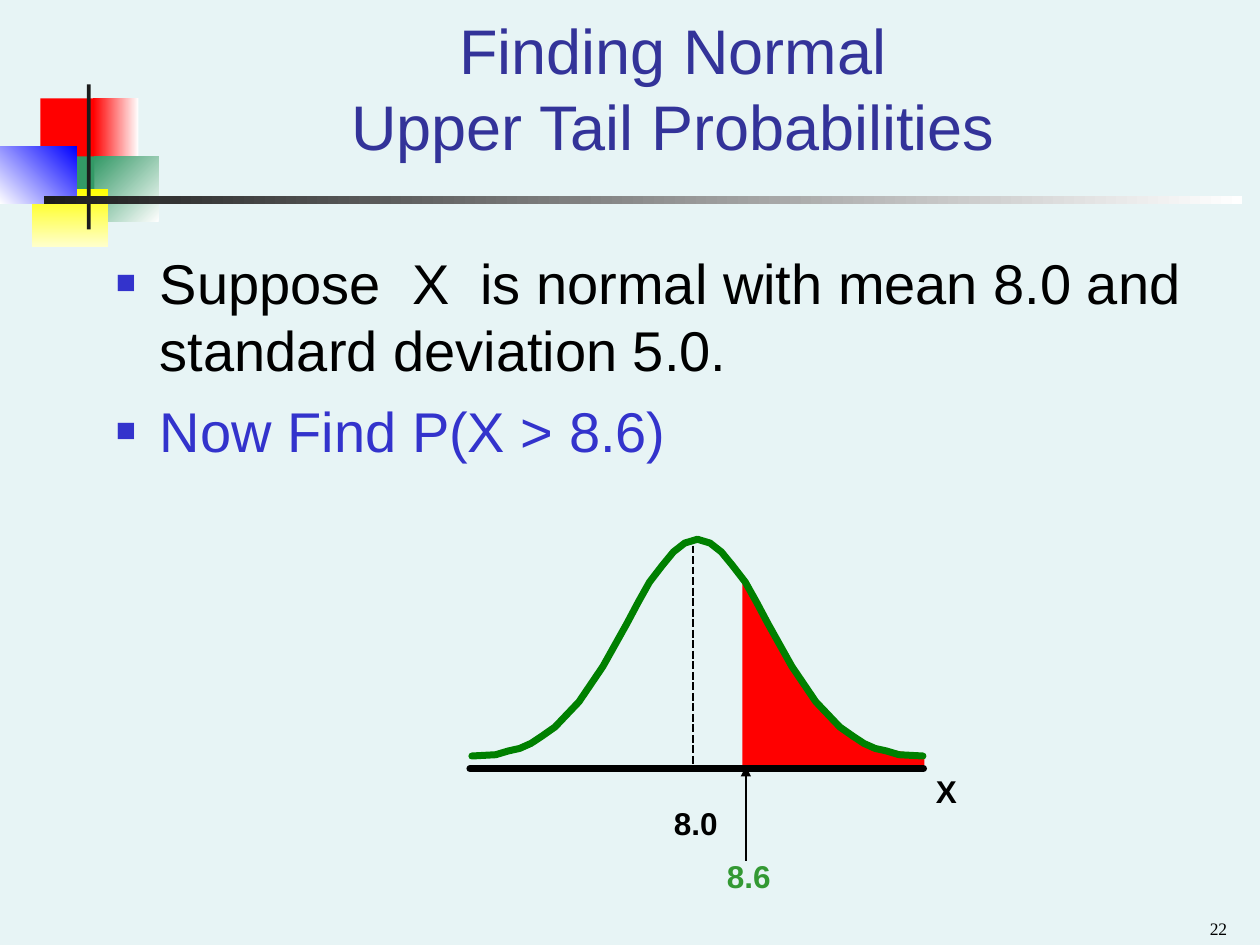
from dataclasses import dataclass

from lxml import etree
from pptx import Presentation
from pptx import util as u
from pptx.dml.color import RGBColor
from pptx.enum import dml, shapes, text
from pptx.oxml import ns


@dataclass(frozen=True)
class Theme:
    background: str = "E7F4F5"
    title: str = "333399"
    accent: str = "3333CC"
    black: str = "000000"
    dark: str = "1C1C1C"
    white: str = "FFFFFF"
    red: str = "FF0000"
    green: str = "339966"
    yellow: str = "FFFF00"
    cream: str = "FFFFCC"
    blue: str = "0000FF"
    curve: str = "008000"
    value: str = "339933"
    sans: str = "Arial"
    serif: str = "Times New Roman"
    title_size: int = 36
    body_size: int = 32
    label_size: int = 18
    number_size: int = 10


THEME = Theme()


def rgb(value):
    return RGBColor.from_string(value)


def add_element(parent, tag, **attributes):
    element = etree.SubElement(parent, ns.qn(tag))
    for name, value in attributes.items():
        element.set(name, value)
    return element


def format_font(font, color, size, name=THEME.sans, bold=False):
    for key, value in {"size": u.Pt(size), "name": name, "bold": bold}.items():
        setattr(font, key, value)
    font.color.rgb = rgb(color)


def add_text(slide, box, paragraphs, size, name=THEME.sans, bold=False, bullet=False,
             align=text.PP_ALIGN.LEFT, anchor=text.MSO_ANCHOR.TOP, wrap=True, inset=0.09):
    frame = slide.shapes.add_textbox(*map(u.Inches, box)).text_frame
    settings = {
        "word_wrap": wrap, "vertical_anchor": anchor,
        "margin_left": u.Inches(inset), "margin_right": u.Inches(inset),
        "margin_top": u.Inches(0.05), "margin_bottom": u.Inches(0.05),
    }
    for key, value in settings.items():
        setattr(frame, key, value)
    for index, (words, color) in enumerate(paragraphs):
        paragraph = frame.add_paragraph() if index else frame.paragraphs[0]
        paragraph.text = words
        paragraph.alignment = align
        if index:
            paragraph.space_before = u.Pt(8)
        if bullet:
            add_bullet(paragraph)
        for run in paragraph.runs:
            format_font(run.font, color, size, name, bold)


def add_bullet(paragraph):
    properties = paragraph._p.get_or_add_pPr()
    properties.set("marL", str(u.Inches(0.35)))
    properties.set("indent", str(u.Inches(-0.35)))
    add_element(add_element(properties, "a:buClr"), "a:srgbClr", val=THEME.accent)
    add_element(properties, "a:buSzPct", val="60000")
    add_element(properties, "a:buFont", typeface=THEME.sans)
    add_element(properties, "a:buChar", char="■")


def add_block(slide, box, first, last=None, angle=0):
    shape = slide.shapes.add_shape(shapes.MSO_SHAPE.RECTANGLE, *map(u.Inches, box))
    shape.shadow.inherit = False
    shape.line.fill.background()
    if last is None:
        shape.fill.solid()
        shape.fill.fore_color.rgb = rgb(first)
        return
    shape.fill.gradient()
    shape.fill.gradient_angle = angle
    for stop, color, position in zip(shape.fill.gradient_stops, (first, last), (0, 1)):
        stop.color.rgb = rgb(color)
        stop.position = position


def add_outline(slide, points, color, width, fill=None):
    vertices = [(u.Inches(x), u.Inches(y)) for x, y in points]
    builder = slide.shapes.build_freeform(*vertices[0], scale=1.0)
    builder.add_line_segments(vertices[1:], close=fill is not None)
    shape = builder.convert_to_shape()
    shape.shadow.inherit = False
    if fill:
        shape.fill.solid()
        shape.fill.fore_color.rgb = rgb(fill)
    else:
        shape.fill.background()
    shape.line.color.rgb = rgb(color)
    shape.line.width = u.Pt(width)
    line = shape.line._get_or_add_ln()
    line.set("cap", "rnd")
    add_element(line, "a:round")


def add_line(slide, start, end, width, dash=None, arrow=False):
    line = slide.shapes.add_connector(
        shapes.MSO_CONNECTOR.STRAIGHT, *map(u.Inches, (*start, *end)))
    line.line.color.rgb = rgb(THEME.black)
    line.line.width = u.Pt(width)
    if dash:
        line.line.dash_style = dash
    if arrow:
        add_element(line.line._get_or_add_ln(), "a:tailEnd", type="triangle")
    add_element(line._element.spPr, "a:effectLst")


def draw_ornament(slide, box):
    left, top, width, height = box
    blocks = [
        ((0.32, 0.11, 0.48, 0.52), THEME.red),
        ((0.74, 0.11, 0.36, 0.52), THEME.white, THEME.red, 180),
        ((0.75, 0.57, 0.51, 0.52), THEME.white, THEME.green, 135),
        ((0.43, 0.57, 0.32, 0.52), THEME.green),
        ((0.25, 0.83, 0.61, 0.46), THEME.yellow, THEME.cream, 270),
        ((0, 0.49, 0.61, 0.46), THEME.blue, THEME.white, 225),
        ((0.69, 0, 0.03, 1.15), THEME.dark),
        ((0.35, 0.89, width - 0.35, 0.06), THEME.white, THEME.dark, 180),
    ]
    for (x, y, block_width, block_height), *colors in blocks:
        add_block(slide, (left + x, top + y, block_width, block_height), *colors)


def draw_heading(slide, box):
    add_text(slide, box, [("Finding Normal\vUpper Tail Probabilities", THEME.title)],
             THEME.title_size, align=text.PP_ALIGN.CENTER, anchor=text.MSO_ANCHOR.BOTTOM)


def draw_body(slide, box):
    add_text(slide, box, [
        ("Suppose  X  is normal with mean 8.0 and standard deviation 5.0.", THEME.black),
        ("Now Find P(X > 8.6)", THEME.accent),
    ], THEME.body_size, bullet=True)


def draw_normal_curve(slide, box):
    left, top, width, height = box
    center, base, right = left + width / 2, top + height, left + width
    tail = [(0, 0), (0.04, 0.12), (0.14, 0.27), (0.2, 0.41), (0.27, 0.51), (0.34, 0.66),
            (0.47, 0.86), (0.58, 1.01), (0.76, 1.2), (1.05, 1.37), (1.43, 1.43),
            (1.43, 1.53), (0, 1.53)]
    half = [(1.79, 1.72), (1.6, 1.71), (1.5, 1.68), (1.41, 1.66), (1.32, 1.62),
            (1.23, 1.56), (1.13, 1.49), (0.94, 1.29), (0.75, 1.01), (0.56, 0.67),
            (0.47, 0.5), (0.38, 0.34), (0.28, 0.21), (0.19, 0.1), (0.1, 0.03), (0, 0)]
    add_outline(slide, [(left + 2.16 + x, top + 0.29 + y) for x, y in tail],
                THEME.red, 1, THEME.red)
    for side in (1, -1):
        add_outline(slide, [(center + side * x, top + y) for x, y in half], THEME.curve, 4)
    add_outline(slide, [(left - 0.01, base), (right, base)], THEME.black, 4)
    labels = [
        ("X", THEME.black, right, base - 0.02, 0.42),
        ("8.6", THEME.value, left + 1.93, base + 0.65, 0.55),
        ("8.0", THEME.black, left + 1.51, base + 0.23, 0.55),
    ]
    for words, color, x, y, label_width in labels:
        add_text(slide, (x, y, label_width, 0.4), [(words, color)], THEME.label_size,
                 bold=True, wrap=False, inset=0.1)
    add_line(slide, (left + 2.18, base + 0.73), (left + 2.18, base - 0.02), 1, arrow=True)
    add_line(slide, (left + 1.76, top + 0.05), (left + 1.76, base - 0.02), 1.5,
             dash=dml.MSO_LINE.SQUARE_DOT)


def draw_page_number(slide, box):
    add_text(slide, box, [("22", THEME.black)], THEME.number_size, THEME.serif,
             align=text.PP_ALIGN.RIGHT, anchor=text.MSO_ANCHOR.BOTTOM)


def main():
    presentation = Presentation()
    presentation.slide_width = u.Inches(10)
    presentation.slide_height = u.Inches(7.5)
    slide = presentation.slides.add_slide(presentation.slide_layouts[6])
    slide.background.fill.solid()
    slide.background.fill.fore_color.rgb = rgb(THEME.background)
    draw_ornament(slide, (0, 0.67, 9.86, 1.29))
    draw_heading(slide, (1.08, 0.42, 8.52, 0.92))
    draw_body(slide, (0.83, 1.92, 8.83, 4.96))
    draw_normal_curve(slide, (3.74, 4.28, 3.59, 1.82))
    draw_page_number(slide, (7.5, 7.15, 2.33, 0.35))
    presentation.save("out.pptx")


if __name__ == "__main__":
    main()
